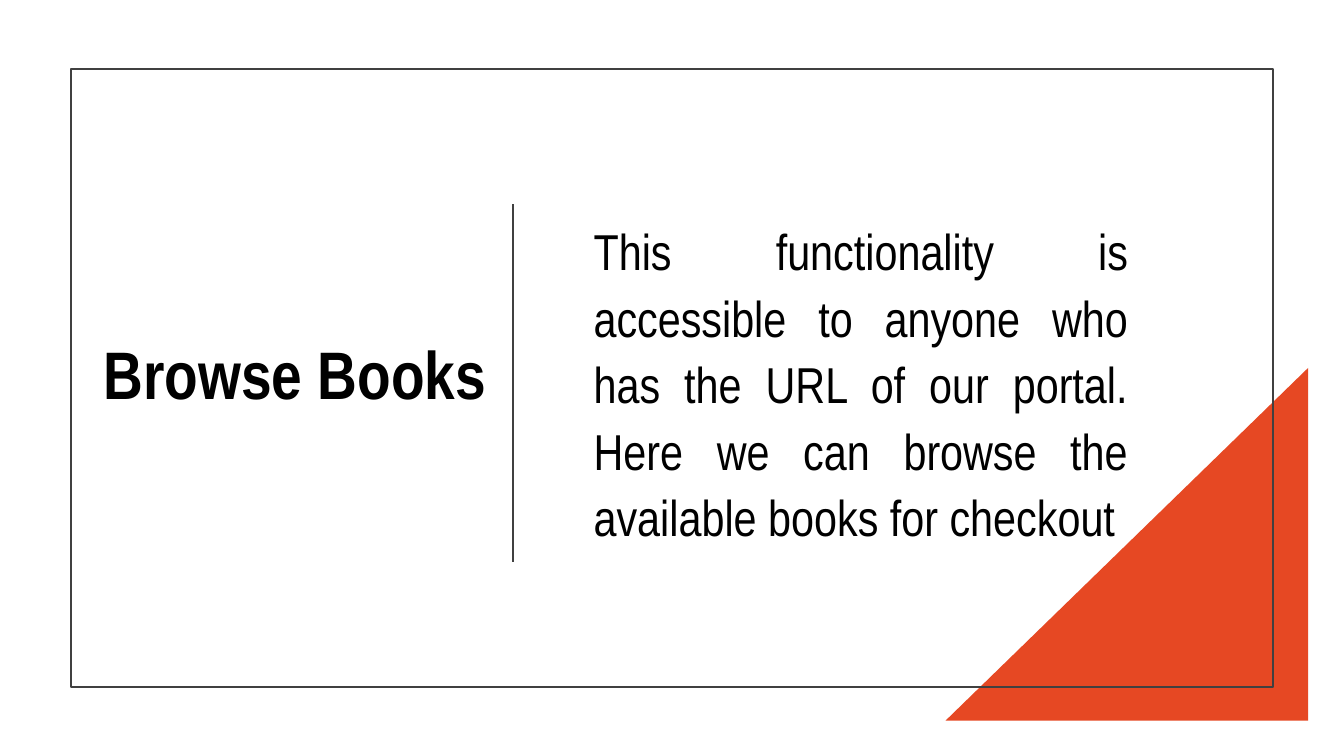
from lxml import etree
from pptx import Presentation
from pptx import util as u
from pptx.dml.color import RGBColor
from pptx.enum import shapes, text
from pptx.oxml import ns

COLORS = {"accent": "E64823", "line": "404040", "text": "000000"}


def write(sp, content, size, align, spacing, bold=False):
    tf = sp.text_frame
    tf.word_wrap = True
    tf.auto_size = text.MSO_AUTO_SIZE.NONE
    tf.vertical_anchor = text.MSO_ANCHOR.MIDDLE
    p = tf.paragraphs[0]
    p.alignment = align
    p.line_spacing = spacing
    p.space_before = u.Pt(0)
    r = p.add_run()
    r.text = content
    r.font.name = "Arial Narrow"
    r.font.size = u.Pt(size)
    r.font.bold = bold
    r.font.color.rgb = RGBColor.from_string(COLORS["text"])


prs = Presentation()
prs.slide_width = u.Cm(33.87)
prs.slide_height = u.Cm(19.05)
s = prs.slides.add_slide(prs.slide_layouts[5])

corner = s.shapes.add_shape(
    shapes.MSO_SHAPE.RIGHT_TRIANGLE, u.Cm(23.83), u.Cm(9.27), u.Cm(9.14), u.Cm(8.89))
corner._element.spPr.xfrm.set("flipH", "1")
corner.shadow.inherit = False
corner.fill.solid()
corner.fill.fore_color.rgb = RGBColor.from_string(COLORS["accent"])
corner.line.fill.background()

frame = s.shapes.add_shape(
    shapes.MSO_SHAPE.RECTANGLE, u.Cm(1.79), u.Cm(1.74), u.Cm(30.3), u.Cm(15.57))
frame.shadow.inherit = False
frame.fill.background()

divider = s.shapes.add_connector(
    shapes.MSO_CONNECTOR.STRAIGHT, u.Cm(12.93), u.Cm(5.15), u.Cm(12.93), u.Cm(14.15))
etree.SubElement(divider._element.spPr, ns.qn("a:effectLst"))

for sp in (frame, divider):
    sp.line.color.rgb = RGBColor.from_string(COLORS["line"])
    sp.line.width = u.Pt(1.5)
if divider._element.spPr[-1].tag != ns.qn("a:effectLst"):
    divider._element.spPr.append(divider._element.spPr.find(ns.qn("a:effectLst")))

title = s.shapes.title
title.left, title.top = u.Cm(2.36), u.Cm(3.3)
title.width, title.height = u.Cm(10.16), u.Cm(12.45)
write(title, "Browse Books", 48, text.PP_ALIGN.CENTER, 0.9, bold=True)

body = s.shapes.add_textbox(u.Cm(14.71), u.Cm(4.65), u.Cm(13.97), u.Cm(9.88))
write(body, "This functionality is accessible to anyone who has the URL of our portal. "
      "Here we can browse the available books for checkout",
      36, text.PP_ALIGN.JUSTIFY, 1.1)

prs.save("out.pptx")
